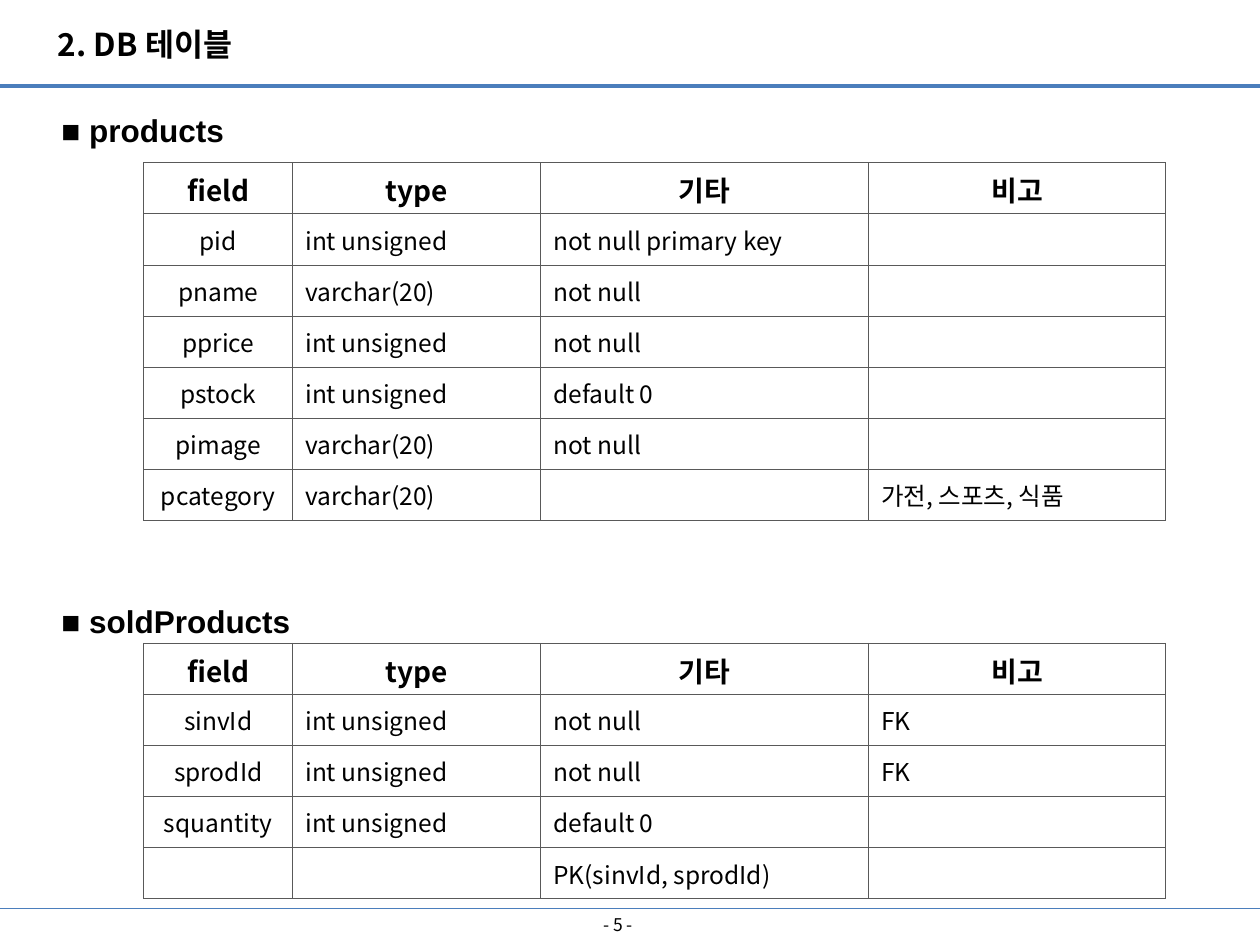
import pptx
import pptx.util
import pptx.dml.color
import pptx.enum.shapes
import pptx.enum.text
import pptx.oxml
import pptx.oxml.ns
import lxml.etree

Cm, Pt = pptx.util.Cm, pptx.util.Pt
ALIGN = pptx.enum.text.PP_ALIGN
ANCHOR = pptx.enum.text.MSO_ANCHOR
qn = pptx.oxml.ns.qn

HUES = {"text": "000000", "rule": "4B7EBC", "grid": "595959"}
SANS, HEAD = "Noto Sans CJK KR", "Arial"
WIDE, TALL = 25.4, 19.05

RULES = [(1.73, 2.25), (18.31, 0.75)]
TITLE = "2. DB 테이블"
PAGE = "- 5 -"
FIELDS = ["field", "type", "기타", "비고"]
TABLES = [
    {"name": "■ products", "top": 1.73, "width": 4.06, "grid": 3.28, "rows": [
        ["pid", "int unsigned", "not null primary key", ""],
        ["pname", "varchar(20)", "not null", ""],
        ["pprice", "int unsigned", "not null", ""],
        ["pstock", "int unsigned", "default 0", ""],
        ["pimage", "varchar(20)", "not null", ""],
        ["pcategory", "varchar(20)", "", "가전, 스포츠, 식품"],
    ]},
    {"name": "■ soldProducts", "top": 11.63, "width": 5.33, "grid": 12.97, "rows": [
        ["sinvId", "int unsigned", "not null", "FK"],
        ["sprodId", "int unsigned", "not null", "FK"],
        ["squantity", "int unsigned", "default 0", ""],
        ["", "", "PK(sinvId, sprodId)", ""],
    ]},
]
COLS = [3.0, 5.0, 6.61, 5.99]
LEFT, ROW = 2.9, 1.03


def color(key):
    return pptx.dml.color.RGBColor.from_string(HUES[key])


def style(para, size, bold=False, face=SANS):
    for run in para.runs:
        font = run.font
        font.size, font.bold, font.name = Pt(size), bold, face
        font.color.rgb = color("text")
        east = lxml.etree.SubElement(run._r.get_or_add_rPr(), qn("a:ea"))
        east.set("typeface", face)


def label(slide, text, box, size, bold=True, face=SANS, wrap=False):
    shape = slide.shapes.add_textbox(*[Cm(n) for n in box])
    frame = shape.text_frame
    frame.text = text
    frame.word_wrap = wrap
    style(frame.paragraphs[0], size, bold, face)
    return frame


def rule(slide, top, width):
    line = slide.shapes.add_connector(
        pptx.enum.shapes.MSO_CONNECTOR.STRAIGHT, 0, Cm(top), Cm(WIDE), Cm(top))
    line.line.color.rgb = color("rule")
    line.line.width = Pt(width)
    lxml.etree.SubElement(line._element.spPr, qn("a:effectLst"))


def border(cell):
    props = cell._tc.get_or_add_tcPr()
    for side in ("lnL", "lnR", "lnT", "lnB"):
        edge = lxml.etree.SubElement(props, qn("a:" + side), w=str(Pt(0.5)))
        fill = lxml.etree.SubElement(edge, qn("a:solidFill"))
        lxml.etree.SubElement(fill, qn("a:srgbClr"), val=HUES["grid"])


def write(cell, text, head, first):
    border(cell)
    cell.fill.background()
    cell.text_frame.text = text
    para = cell.text_frame.paragraphs[0]
    para.alignment = ALIGN.CENTER if head or first else ALIGN.LEFT
    cell.vertical_anchor = ANCHOR.TOP if head else ANCHOR.MIDDLE
    style(para, 16 if head else 14, head)
    if not text:
        lxml.etree.SubElement(para._p, qn("a:endParaRPr"), sz="1400")


def table(slide, top, rows):
    grid = slide.shapes.add_table(
        len(rows), len(COLS), Cm(LEFT), Cm(top),
        Cm(sum(COLS)), Cm(ROW * len(rows))).table
    grid.first_row = grid.horz_banding = False
    for col, width in zip(grid.columns, COLS):
        col.width = Cm(width)
    for r, row in enumerate(rows):
        grid.rows[r].height = Cm(ROW)
        for c, text in enumerate(row):
            write(grid.cell(r, c), text, r == 0, c == 0)


def main():
    deck = pptx.Presentation()
    deck.slide_width, deck.slide_height = Cm(WIDE), Cm(TALL)
    slide = deck.slides.add_slide(deck.slide_layouts[6])
    for top, width in RULES:
        rule(slide, top, width)
    label(slide, TITLE, (0.92, 0.38, 4.32, 1.02), 18)
    page = label(slide, PAGE, (9.5, 18.31, 5.92, 0.66), 10, bold=False, wrap=True)
    page.vertical_anchor = ANCHOR.MIDDLE
    page.paragraphs[0].alignment = ALIGN.CENTER
    for part in TABLES:
        box = (0.99, part["top"], part["width"], 1.3)
        name = label(slide, part["name"], box, 18, face=HEAD)
        name.paragraphs[0].line_spacing = 1.5
        table(slide, part["grid"], [FIELDS] + part["rows"])
    deck.save("out.pptx")


if __name__ == "__main__":
    main()
